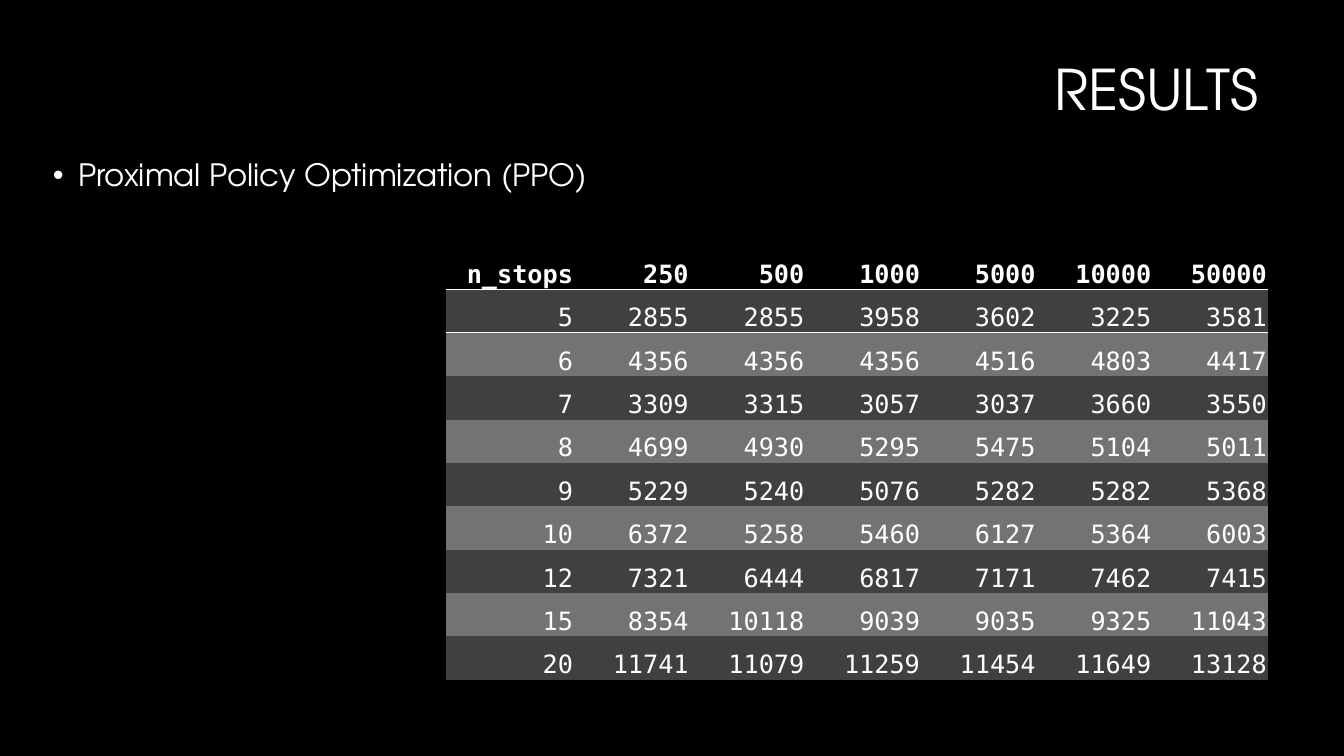
from dataclasses import dataclass

from lxml import etree
from pptx import Presentation
from pptx import util as u
from pptx.dml.color import RGBColor
from pptx.enum import text
from pptx.oxml import ns

PX = 914400 / 100.8  # EMU per px
PLAIN = "{2D5ABB26-0587-4C30-8999-92F81FD0307C}"  # no style, no grid


def px(n):
    return u.Emu(round(n * PX))


@dataclass(frozen=True)
class Theme:
    back: str = "000000"
    ink: str = "FFFFFF"
    bands: tuple = ("404040", "737373")
    sans: str = "TeX Gyre Adventor"
    mono: str = "DejaVu Sans Mono"
    head: int = 40
    body: int = 22
    data: int = 18


class Deck:
    def __init__(self, theme):
        self.theme = theme
        self.prs = Presentation()
        self.prs.slide_width, self.prs.slide_height = px(1344), px(756)
        self.slide = self.prs.slides.add_slide(self.prs.slide_layouts[5])
        fill = self.slide.background.fill
        fill.solid()
        fill.fore_color.rgb = RGBColor.from_string(theme.back)

    def style(self, para, size, face, bold=False):
        for run in para.runs:
            font = run.font
            font.size, font.name, font.bold = u.Pt(size), face, bold
            font.color.rgb = RGBColor.from_string(self.theme.ink)

    def title(self, words, x, y, w, h):
        shape = self.slide.shapes.title
        shape.left, shape.top, shape.width, shape.height = map(px, (x, y, w, h))
        frame = shape.text_frame
        frame.text = words
        frame.auto_size = text.MSO_AUTO_SIZE.NONE
        frame.vertical_anchor = text.MSO_ANCHOR.MIDDLE
        para = frame.paragraphs[0]
        para.alignment, para.line_spacing = text.PP_ALIGN.RIGHT, 0.9
        self.style(para, self.theme.head, self.theme.sans)

    def bullet(self, words, x, y, w, h):
        frame = self.slide.shapes.add_textbox(*map(px, (x, y, w, h))).text_frame
        frame.word_wrap = True
        frame.text = words
        para = frame.paragraphs[0]
        para.line_spacing, para.space_before = 0.9, u.Pt(10)
        self.style(para, self.theme.body, self.theme.sans)
        # Hanging bullet
        props = para._p.get_or_add_pPr()
        hang = u.Inches(0.25)
        props.set("marL", str(hang))
        props.set("indent", str(-hang))
        font = etree.SubElement(props, ns.qn("a:buFont"))
        font.set("typeface", "Arial")
        etree.SubElement(props, ns.qn("a:buChar")).set("char", "•")

    def rule(self, cell, side):
        line = etree.Element(ns.qn("a:" + side), w=str(u.Pt(1)))
        fill = etree.SubElement(line, ns.qn("a:solidFill"))
        etree.SubElement(fill, ns.qn("a:srgbClr")).set("val", self.theme.ink)
        cell._tc.get_or_add_tcPr().insert(0, line)

    def cell(self, cell, words, fill, bold):
        cell.text = words
        cell.vertical_anchor = text.MSO_ANCHOR.BOTTOM
        cell.margin_left = cell.margin_right = cell.margin_top = px(1)
        cell.margin_bottom = 0
        cell.fill.solid()
        cell.fill.fore_color.rgb = RGBColor.from_string(fill)
        para = cell.text_frame.paragraphs[0]
        para.alignment = text.PP_ALIGN.RIGHT
        self.style(para, self.theme.data, self.theme.mono, bold)

    def table(self, rows, x, y, w, h, first):
        count = len(rows[0])
        frame = self.slide.shapes.add_table(len(rows), count, *map(px, (x, y, w, h)))
        table = frame.table
        table.horz_banding = False
        table._tbl.tblPr.find(ns.qn("a:tableStyleId")).text = PLAIN
        for i, col in enumerate(table.columns):
            col.width = px((w - first) / (count - 1) if i else first)
        for i, row in enumerate(rows):
            table.rows[i].height = px(h / len(rows))
            fill = self.theme.bands[(i - 1) % 2] if i else self.theme.back
            for j, value in enumerate(row):
                cell = table.cell(i, j)
                self.cell(cell, str(value), fill, i == 0)
                # Line between header and data
                if i < 2:
                    self.rule(cell, "lnT" if i else "lnB")


SCORES = [
    ("n_stops", 250, 500, 1000, 5000, 10000, 50000),
    (5, 2855, 2855, 3958, 3602, 3225, 3581),
    (6, 4356, 4356, 4356, 4516, 4803, 4417),
    (7, 3309, 3315, 3057, 3037, 3660, 3550),
    (8, 4699, 4930, 5295, 5475, 5104, 5011),
    (9, 5229, 5240, 5076, 5282, 5282, 5368),
    (10, 6372, 5258, 5460, 6127, 5364, 6003),
    (12, 7321, 6444, 6817, 7171, 7462, 7415),
    (15, 8354, 10118, 9039, 9035, 9325, 11043),
    (20, 11741, 11079, 11259, 11454, 11649, 13128),
]


def main():
    deck = Deck(Theme())
    # Heading and method
    deck.title("RESULTS", 508, 21, 760, 142)
    deck.bullet("Proximal Policy Optimization (PPO)", 43, 155, 1264, 613)
    # Scores by stops and training steps
    deck.table(SCORES, 446, 246, 822, 434, first=128)
    deck.prs.save("out.pptx")


if __name__ == "__main__":
    main()
